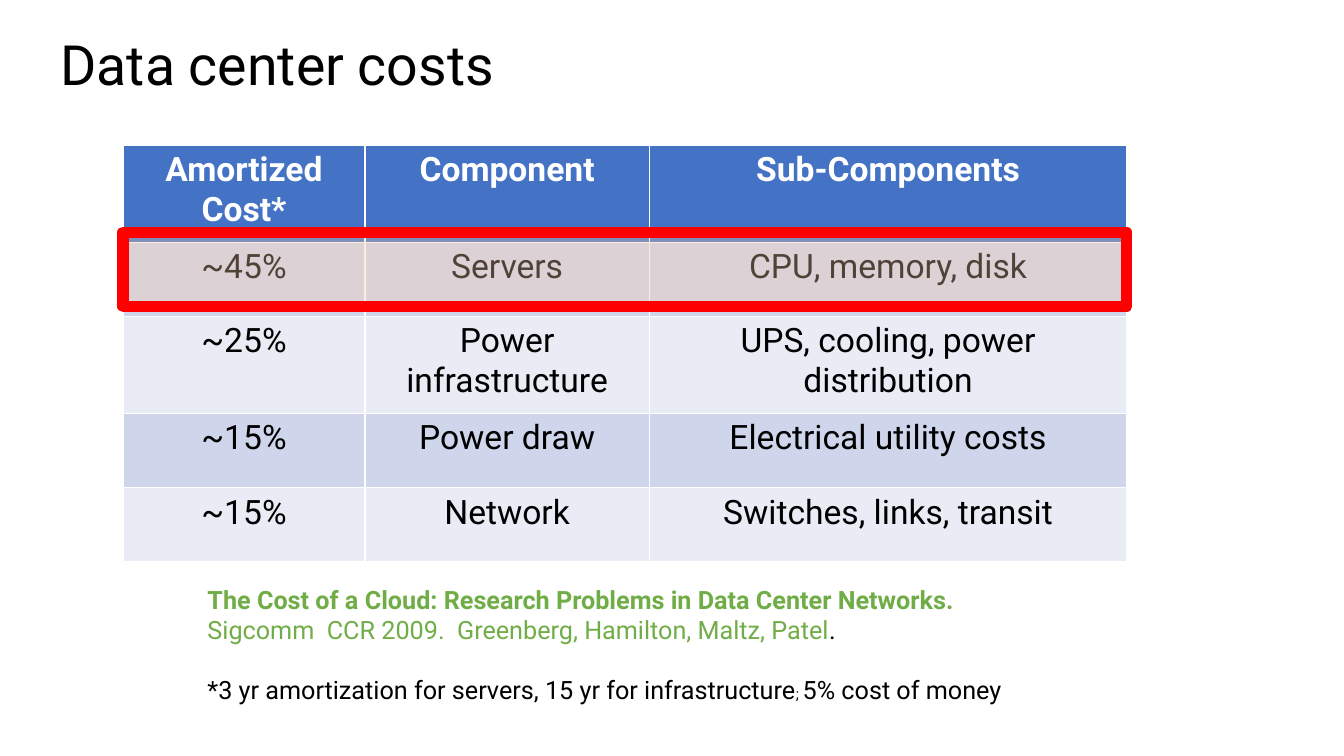
from lxml import etree
from pptx import Presentation
from pptx.dml.color import RGBColor
from pptx.enum.shapes import MSO_SHAPE
from pptx.enum.text import MSO_ANCHOR, MSO_AUTO_SIZE, PP_ALIGN
from pptx.oxml.ns import qn
from pptx.util import Cm, Pt

RECTANGLE = MSO_SHAPE.RECTANGLE
MIDDLE = MSO_ANCHOR.MIDDLE
NO_AUTOFIT = MSO_AUTO_SIZE.NONE
LEFT, CENTER = PP_ALIGN.LEFT, PP_ALIGN.CENTER

FONT = "Roboto"
COLORS = {
    "black": "000000", "white": "FFFFFF", "header": "4472C4",
    "dark band": "CFD5EA", "light band": "E9EBF5",
    "citation": "70AD47", "highlight": "F8CBAD", "frame": "FF0000",
}


def rgb(name):
    return RGBColor.from_string(COLORS[name])


def add_run(paragraph, text, size, color="black", bold=False):
    run = paragraph.add_run()
    run.text = text
    run.font.color.rgb = rgb(color)
    formats = {"name": FONT, "size": Pt(size), "bold": bold}
    for attribute, value in formats.items():
        setattr(run.font, attribute, value)


presentation = Presentation()
presentation.slide_width, presentation.slide_height = Cm(33.87), Cm(19.05)
slide = presentation.slides.add_slide(presentation.slide_layouts[5])

# Title
title = slide.shapes.title
title.left, title.top, title.width, title.height = Cm(1.27), Cm(0.86), Cm(31.32), Cm(1.7)
title_formats = {"vertical_anchor": MIDDLE, "word_wrap": True, "auto_size": NO_AUTOFIT}
for attribute, value in title_formats.items():
    setattr(title.text_frame, attribute, value)
title_paragraph = title.text_frame.paragraphs[0]
title_paragraph.alignment = LEFT
title_paragraph.line_spacing = 0.9
add_run(title_paragraph, "Data center costs", 39.6)

# Cost table
COSTS = [
    ("Amortized Cost*", "Component", "Sub-Components"),
    ("~45%", "Servers", "CPU, memory, disk"),
    ("~25%", "Power infrastructure", "UPS, cooling, power distribution"),
    ("~15%", "Power draw", "Electrical utility costs"),
    ("~15%", "Network", "Switches, links, transit"),
]
COLUMN_WIDTHS = [6.1, 7.16, 12.04]
ROW_HEIGHTS = [2.44, 1.87, 2.44, 1.87, 1.87]
TABLE_LEFT, TABLE_WIDTH = Cm(3.1), Cm(sum(COLUMN_WIDTHS))

table = slide.shapes.add_table(
    len(COSTS), len(COLUMN_WIDTHS), TABLE_LEFT, Cm(3.67),
    TABLE_WIDTH, Cm(sum(ROW_HEIGHTS))).table
for column, width in zip(table.columns, COLUMN_WIDTHS):
    column.width = Cm(width)
for row_index, (row, height) in enumerate(zip(table.rows, ROW_HEIGHTS)):
    row.height = Cm(height)
    is_header = row_index == 0
    band = "header" if is_header else "dark band" if row_index % 2 else "light band"
    for cell, text in zip(row.cells, COSTS[row_index]):
        cell.fill.solid()
        cell.fill.fore_color.rgb = rgb(band)
        paragraph = cell.text_frame.paragraphs[0]
        paragraph.alignment = CENTER
        add_run(paragraph, text, 24, "white" if is_header else "black", is_header)

# Footnote and citation: top, width, runs
NOTES = [
    (16.87, 22.0, [
        ("*3 yr amortization for servers, 15 yr for infrastructure", 18, "black", False),
        ("; ", 10.5, "black", False),
        ("5% cost of money", 18, "black", False),
    ]),
    (14.6, 21.49, [
        ("The Cost of a Cloud: Research Problems in Data Center Networks.  ",
         18, "citation", True),
        ("Sigcomm  CCR 2009.  Greenberg, Hamilton, Maltz, Patel", 18, "citation", False),
        (".", 18, "black", False),
    ]),
]
for top, width, runs in NOTES:
    note = slide.shapes.add_textbox(Cm(4.98), Cm(top), Cm(width), Cm(1.8))
    note.text_frame.word_wrap = True
    for run_values in runs:
        add_run(note.text_frame.paragraphs[0], *run_values)

# Frame around the servers row
frame = slide.shapes.add_shape(RECTANGLE, TABLE_LEFT, Cm(5.85), TABLE_WIDTH, Cm(1.87))
frame.shadow.inherit = False
frame.fill.solid()
frame.fill.fore_color.rgb = rgb("highlight")
fill_color = frame.fill._xPr.find(qn("a:solidFill"))[0]
etree.SubElement(fill_color, qn("a:alpha")).set("val", "33000")
frame.line.color.rgb = rgb("frame")
frame.line.width = Pt(8)

presentation.save("out.pptx")
